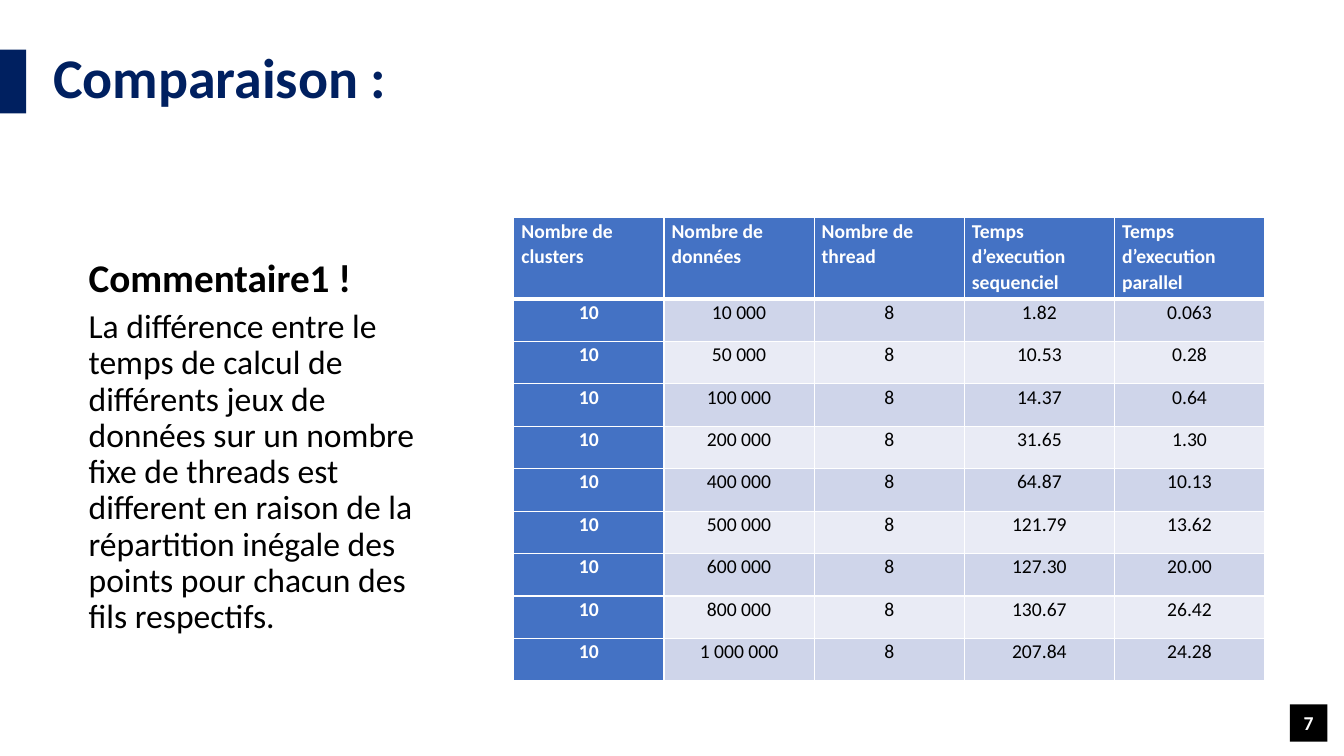
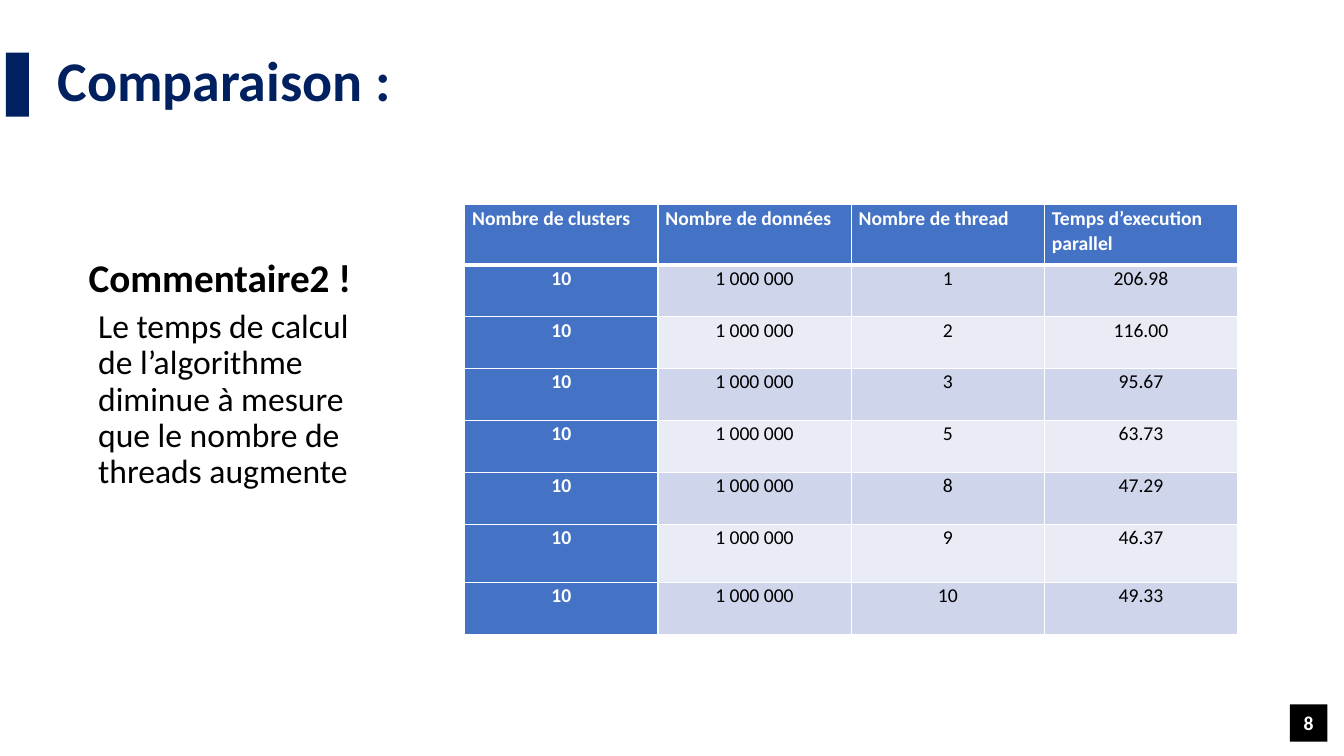
from dataclasses import dataclass

from lxml.etree import SubElement
from pptx import Presentation
from pptx.dml.color import RGBColor
from pptx.enum.shapes import MSO_SHAPE
from pptx.enum.text import MSO_ANCHOR, MSO_AUTO_SIZE, PP_ALIGN
from pptx.oxml.ns import qn
from pptx.util import Cm, Pt


@dataclass(frozen=True)
class Theme:
    font: str = "Calibri"
    navy: str = "002060"
    blue: str = "4472C4"
    bands: tuple = ("CFD5EA", "E9EBF5")
    black: str = "000000"
    white: str = "FFFFFF"
    heading_size: int = 40
    title_size: int = 28
    body_size: int = 24
    small_size: int = 14
    thin_border: int = 1
    thick_border: int = 3


THEME = Theme()
HEADING = "Comparaison :"
CLUSTERS = "10"

SLIDES = [
    {
        "number": "7",
        "title": "Commentaire1 !",
        "body": "La différence entre le temps de calcul de différents jeux de données "
                "sur un nombre fixe de threads est different en raison de la répartition "
                "inégale des points pour chacun des fils respectifs.",
        "band": (0, 1.25, 0.66, 1.61),
        "heading": (0.89, 0.94, 9.93, 1.96),
        "body_box": (1.98, 7.67, 9.58, 9.47),
        "table_box": (12.95, 5.49, 18.92),
        "row_heights": [2.04] + [1.07] * 9,
        "headers": ["Nombre de clusters", "Nombre de données", "Nombre de thread",
                    "Temps d’execution sequenciel", "Temps d’execution parallel"],
        "rows": [
            ("10 000", "8", "1.82", "0.063"),
            ("50 000", "8", "10.53", "0.28"),
            ("100 000", "8", "14.37", "0.64"),
            ("200 000", "8", "31.65", "1.30"),
            ("400 000", "8", "64.87", "10.13"),
            ("500 000", "8", "121.79", "13.62"),
            ("600 000", "8", "127.30", "20.00"),
            ("800 000", "8", "130.67", "26.42"),
            ("1 000 000", "8", "207.84", "24.28"),
        ],
    },
    {
        "number": "8",
        "title": "Commentaire2 !",
        "body": "Le temps de calcul de l’algorithme diminue à mesure que le nombre "
                "de threads augmente",
        "band": (0.15, 1.33, 0.58, 1.61),
        "heading": (1, 1.02, 9.93, 1.96),
        "body_box": (2.22, 7.67, 7.65, 9.47),
        "table_box": (11.71, 5.16, 19.48),
        "row_heights": [1.51] + [1.31] * 5 + [1.45, 1.31],
        "headers": ["Nombre de clusters", "Nombre de données", "Nombre de thread",
                    "Temps d’execution parallel"],
        "rows": [
            ("1 000 000", "1", "206.98"),
            ("1 000 000", "2", "116.00"),
            ("1 000 000", "3", "95.67"),
            ("1 000 000", "5", "63.73"),
            ("1 000 000", "8", "47.29"),
            ("1 000 000", "9", "46.37"),
            ("1 000 000", "10", "49.33"),
        ],
    },
]

TITLE_BOX = (1.98, 5.16, 10.21, 2.54)
NUMBER_BOX = (32.51, 17.75, 0.94, 0.94)


def place(shape, box):
    shape.left, shape.top, shape.width, shape.height = map(Cm, box)


def write(text_frame, text, size, color, bold=False, align=PP_ALIGN.LEFT, spacing=1.0):
    text_frame.text = text
    paragraph = text_frame.paragraphs[0]
    paragraph.alignment = align
    paragraph.line_spacing = spacing
    paragraph.space_before = Pt(0)
    font = paragraph.font
    font.name, font.size, font.bold = THEME.font, Pt(size), bold
    font.color.rgb = RGBColor.from_string(color)
    return paragraph


def add_rectangle(slide, box, color):
    shape = slide.shapes.add_shape(MSO_SHAPE.RECTANGLE, *map(Cm, box))
    shape.shadow.inherit = False
    shape.fill.solid()
    shape.fill.fore_color.rgb = RGBColor.from_string(color)
    shape.line.fill.background()
    return shape


def add_heading(slide, content):
    add_rectangle(slide, content["band"], THEME.navy)
    text_frame = slide.shapes.add_textbox(*map(Cm, content["heading"])).text_frame
    text_frame.word_wrap = True
    text_frame.margin_left = Cm(0.45)
    write(text_frame, HEADING, THEME.heading_size, THEME.navy, bold=True)


def add_number(slide, number):
    text_frame = add_rectangle(slide, NUMBER_BOX, THEME.black).text_frame
    text_frame.margin_left = text_frame.margin_right = 0
    text_frame.margin_top = text_frame.margin_bottom = 0
    text_frame.vertical_anchor = MSO_ANCHOR.MIDDLE
    write(text_frame, number, THEME.small_size, THEME.white, bold=True,
          align=PP_ALIGN.CENTER)


def fill_placeholders(slide, content):
    title, body = slide.placeholders
    place(title, TITLE_BOX)
    place(body, content["body_box"])
    for placeholder, anchor in ((title, MSO_ANCHOR.BOTTOM), (body, MSO_ANCHOR.TOP)):
        placeholder.text_frame.auto_size = MSO_AUTO_SIZE.NONE
        placeholder.text_frame.vertical_anchor = anchor
    write(title.text_frame, content["title"], THEME.title_size, THEME.black,
          bold=True, spacing=0.9)
    paragraph = write(body.text_frame, content["body"], THEME.body_size, THEME.black,
                      spacing=0.9)
    paragraph.space_before = Pt(10)
    properties = paragraph._p.get_or_add_pPr()
    properties.set("marL", "0")
    properties.set("indent", "0")
    SubElement(properties, qn("a:buNone"))


def set_borders(cell, is_header):
    properties = cell._tc.get_or_add_tcPr()
    for side in ("L", "R", "T", "B"):
        thick = is_header and side == "B"
        width = THEME.thick_border if thick else THEME.thin_border
        line = SubElement(properties, qn(f"a:ln{side}"), w=str(Pt(width)))
        fill = SubElement(line, qn("a:solidFill"))
        SubElement(fill, qn("a:srgbClr"), val=THEME.white)


def add_table(slide, content):
    rows = [content["headers"]] + [(CLUSTERS, *row) for row in content["rows"]]
    heights = content["row_heights"]
    left, top, width = content["table_box"]
    columns = len(content["headers"])
    table = slide.shapes.add_table(len(rows), columns, Cm(left), Cm(top),
                                   Cm(width), Cm(sum(heights))).table
    table.first_col = True
    for column in table.columns:
        column.width = Cm(width / columns)
    for row_index, values in enumerate(rows):
        table.rows[row_index].height = Cm(heights[row_index])
        is_header = row_index == 0
        for column_index, value in enumerate(values):
            cell = table.cell(row_index, column_index)
            emphasized = is_header or column_index == 0
            cell.margin_left = cell.margin_right = Cm(0.19)
            cell.margin_top = cell.margin_bottom = 0
            set_borders(cell, is_header)
            cell.fill.solid()
            cell.fill.fore_color.rgb = RGBColor.from_string(
                THEME.blue if emphasized else THEME.bands[(row_index - 1) % 2])
            write(cell.text_frame, value, THEME.small_size,
                  THEME.white if emphasized else THEME.black, bold=emphasized,
                  align=PP_ALIGN.LEFT if is_header else PP_ALIGN.CENTER, spacing=1.07)


def main():
    presentation = Presentation()
    presentation.slide_width, presentation.slide_height = Cm(33.87), Cm(19.05)
    for content in SLIDES:
        slide = presentation.slides.add_slide(presentation.slide_layouts[1])
        fill_placeholders(slide, content)
        add_heading(slide, content)
        add_number(slide, content["number"])
        add_table(slide, content)
    presentation.save("out.pptx")


if __name__ == "__main__":
    main()
